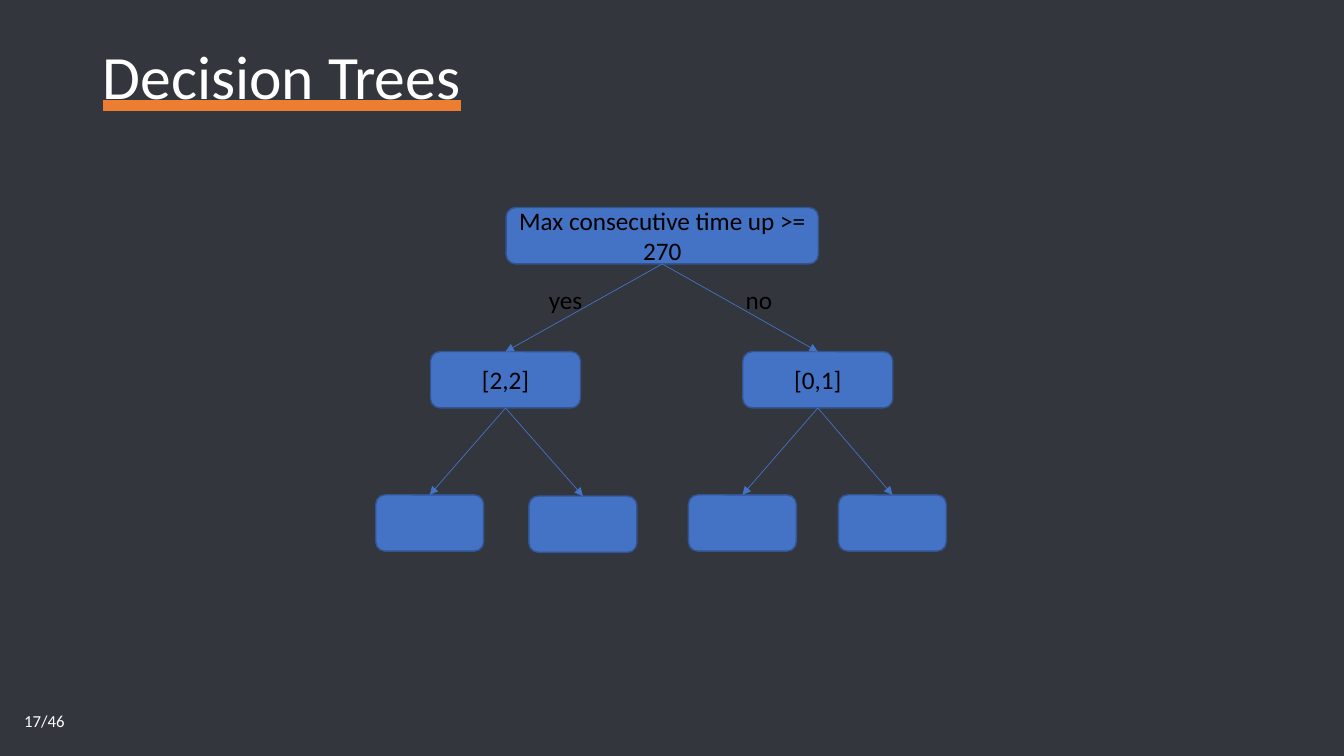
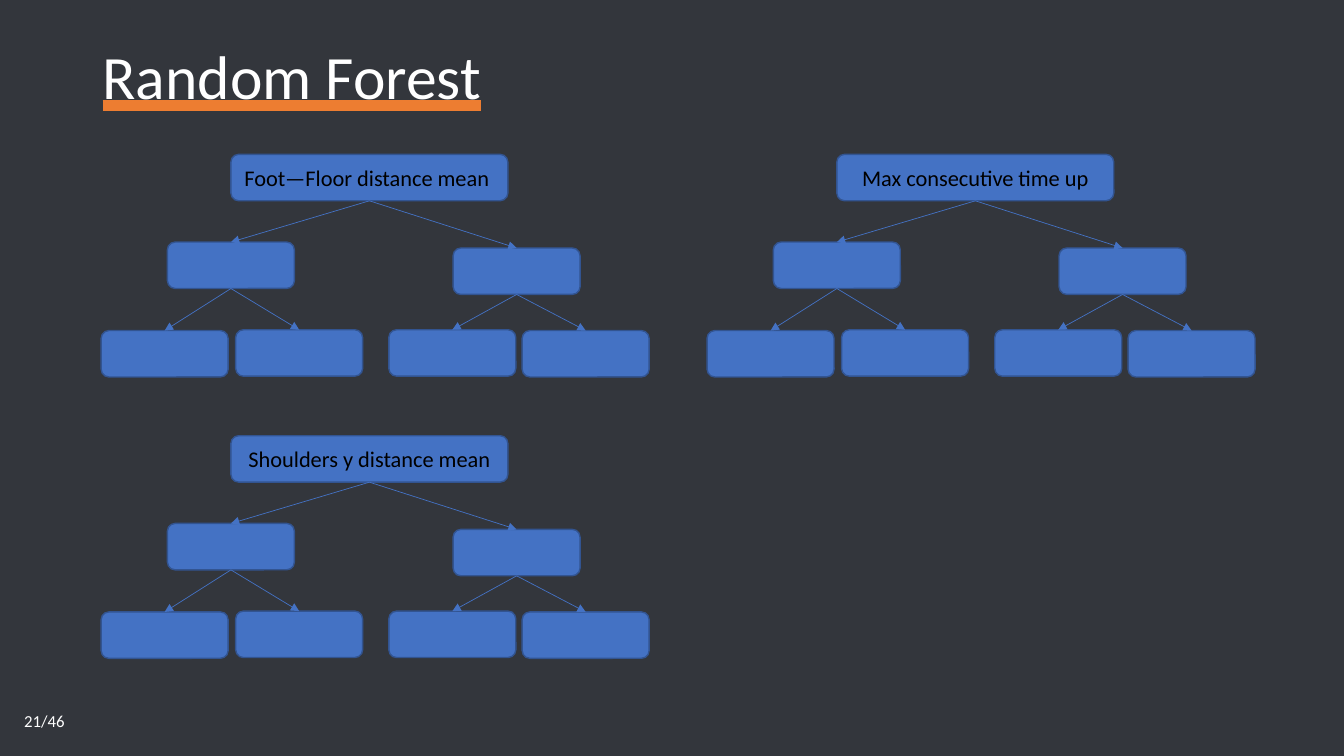
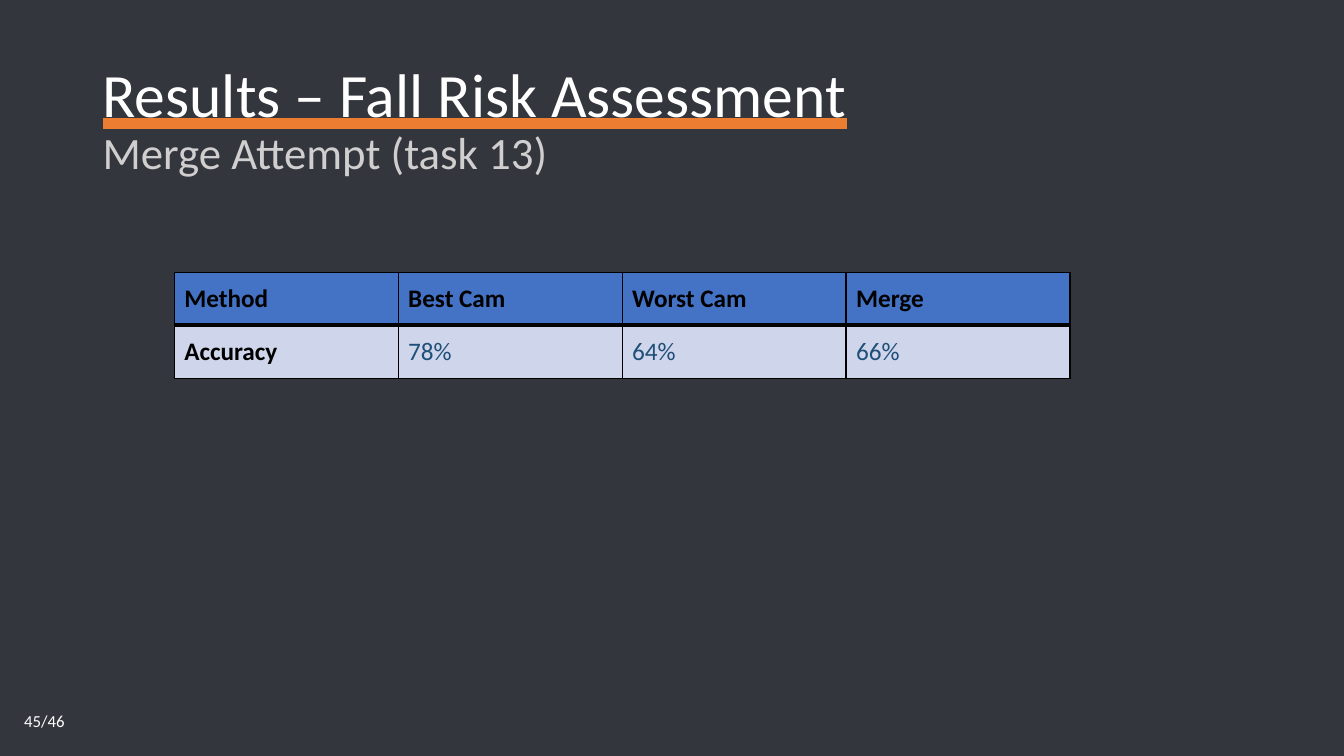
"""Build three slides on decision trees, random forests and fall risk results."""
import lxml.etree
import pptx
import pptx.dml.color
import pptx.enum.shapes
import pptx.enum.text
import pptx.oxml
import pptx.oxml.ns
import pptx.util

Cm = pptx.util.Cm
Pt = pptx.util.Pt
RGBColor = pptx.dml.color.RGBColor
MSO_ANCHOR = pptx.enum.text.MSO_ANCHOR
PP_ALIGN = pptx.enum.text.PP_ALIGN
qn = pptx.oxml.ns.qn

FONT = "Calibri"
BACKGROUND = RGBColor(0x33, 0x36, 0x3C)
WHITE = RGBColor(0xFF, 0xFF, 0xFF)
BLACK = RGBColor(0x00, 0x00, 0x00)
GREY = RGBColor(0xD0, 0xCE, 0xCE)
ORANGE = RGBColor(0xED, 0x7D, 0x31)
BLUE = RGBColor(0x44, 0x72, 0xC4)
DARK_BLUE = RGBColor(0x32, 0x54, 0x91)
NAVY = RGBColor(0x1F, 0x4E, 0x79)
PALE_BLUE = RGBColor(0xCF, 0xD5, 0xEA)


def write(tf, text, size, color, align=PP_ALIGN.LEFT, bold=False):
    """Put one formatted paragraph into a text frame."""
    tf.word_wrap = True
    p = tf.paragraphs[0]
    p.text = text
    p.alignment = align
    p.font.name = FONT
    p.font.size = Pt(size)
    p.font.bold = bold
    p.font.color.rgb = color


def add_tree(s, label_size, height, nodes, dx=0, dy=0):
    """Draw a binary tree from (centre, top, width, text) nodes in heap order."""
    group = s.shapes.add_group_shape()
    boxes = []
    for i, (centre, top, width, text) in enumerate(nodes):
        box = group.shapes.add_shape(
            pptx.enum.shapes.MSO_SHAPE.ROUNDED_RECTANGLE,
            Cm(centre - width / 2 + dx), Cm(top + dy), Cm(width), Cm(height))
        box.shadow.inherit = False
        box.fill.solid()
        box.fill.fore_color.rgb = BLUE
        box.line.color.rgb = DARK_BLUE
        box.line.width = Pt(1)
        box.text_frame.vertical_anchor = MSO_ANCHOR.MIDDLE
        if text:
            write(box.text_frame, text, label_size, BLACK, PP_ALIGN.CENTER)
        boxes.append(box)
        if i:
            arrow = group.shapes.add_connector(
                pptx.enum.shapes.MSO_CONNECTOR.STRAIGHT, 0, 0, 0, 0)
            arrow.begin_connect(boxes[(i - 1) // 2], 2)
            arrow.end_connect(box, 0)
            arrow.line.color.rgb = BLUE
            arrow.line.width = Pt(0.5)
            ln = arrow.line._get_or_add_ln()
            lxml.etree.SubElement(ln, qn("a:tailEnd"), type="triangle")
            lxml.etree.SubElement(arrow._element.spPr, qn("a:effectLst"))


prs = pptx.Presentation()
prs.slide_width = Cm(33.87)
prs.slide_height = Cm(19.05)
fill = prs.slide_master.background.fill
fill.solid()
fill.fore_color.rgb = BACKGROUND

slides = []
for title, subtitle, width, height, number in [
        ("Decision Trees", "", 10.95, 1.96, "17/46"),
        ("Random Forest", "", 10.95, 1.96, "21/46"),
        ("Results – Fall Risk Assessment", "Merge Attempt (task 13)",
         27.41, 4.09, "45/46")]:
    s = prs.slides.add_slide(prs.slide_layouts[5])
    slides.append(s)
    sp = s.shapes.title
    sp.left, sp.top, sp.width, sp.height = Cm(2.33), Cm(1.02), Cm(width), Cm(height)
    tf = sp.text_frame
    tf.vertical_anchor = MSO_ANCHOR.MIDDLE
    tf.auto_size = pptx.enum.text.MSO_AUTO_SIZE.NONE
    p = tf.paragraphs[0]
    p.alignment = PP_ALIGN.LEFT
    p.line_spacing = 0.9
    r = p.add_run()
    r.text = title
    r.font.size = Pt(44)
    r.font.color.rgb = WHITE
    r.font.underline = pptx.enum.text.MSO_UNDERLINE.HEAVY_LINE
    r.font._element.append(pptx.oxml.parse_xml(
        '<a:uFill xmlns:a="http://schemas.openxmlformats.org/drawingml/2006/main">'
        f'<a:solidFill><a:srgbClr val="{ORANGE}"/></a:solidFill></a:uFill>'))
    r.font.name = FONT
    if subtitle:
        p.add_line_break()
        r = p.add_run()
        r.text = subtitle
        r.font.name = FONT
        r.font.size = Pt(32)
        r.font.color.rgb = GREY

    tf = s.shapes.add_textbox(Cm(0.36), Cm(17.65), Cm(7.62), Cm(1.02)).text_frame
    tf.vertical_anchor = MSO_ANCHOR.MIDDLE
    write(tf, number, 12, WHITE)

decision, forest, results = slides

add_tree(decision, 18, 1.42, [
    (16.69, 5.23, 7.87, "Max consecutive time up >= 270"),
    (12.74, 8.86, 3.78, "[2,2]"),
    (20.61, 8.86, 3.78, "[0,1]"),
    (10.83, 12.47, 2.72, ""),
    (14.69, 12.5, 2.72, ""),
    (18.71, 12.47, 2.72, ""),
    (22.49, 12.47, 2.72, "")])
for answer, left in [("yes", 13.44), ("no", 18.31)]:
    sp = decision.shapes.add_textbox(Cm(left), Cm(7.04), Cm(1.63), Cm(1.04))
    write(sp.text_frame, answer, 18, BLACK, PP_ALIGN.CENTER)

for feature, column, row in [
        ("Foot—Floor distance mean ", 0, 0),
        ("Max consecutive time up", 1, 0),
        ("Shoulders y distance mean", 0, 1)]:
    add_tree(forest, 16, 1.17, [
        (9.31, 3.89, 6.98, feature),
        (5.82, 6.1, 3.2, ""),
        (13.02, 6.25, 3.2, ""),
        (4.15, 8.33, 3.2, ""),
        (7.54, 8.31, 3.2, ""),
        (11.4, 8.31, 3.2, ""),
        (14.76, 8.33, 3.2, "")], dx=15.27 * column, dy=7.09 * row)

rows = [["Method", "Best Cam", "Worst Cam", "Merge"],
        ["Accuracy", "78%", "64%", "66%"]]
table = results.shapes.add_table(
    2, 4, Cm(4.39), Cm(6.86), Cm(22.58), Cm(2.67)).table
table.horz_banding = False
for i, row in enumerate(rows):
    for j, text in enumerate(row):
        cell = table.cell(i, j)
        cell.vertical_anchor = MSO_ANCHOR.MIDDLE
        heading = i == 0 or j == 0
        write(cell.text_frame, text, 18, BLACK if heading else NAVY, bold=heading)
        tcPr = cell._tc.get_or_add_tcPr()
        for side in ["lnL", "lnR", "lnT", "lnB"]:
            thick = (i, side) in [(0, "lnB"), (1, "lnT")]
            ln = lxml.etree.SubElement(
                tcPr, qn(f"a:{side}"), w=str(Pt(3 if thick else 1)))
            solid = lxml.etree.SubElement(ln, qn("a:solidFill"))
            lxml.etree.SubElement(solid, qn("a:srgbClr"), val=str(BLACK))
        cell.fill.solid()
        cell.fill.fore_color.rgb = PALE_BLUE if i else BLUE

prs.save("out.pptx")
